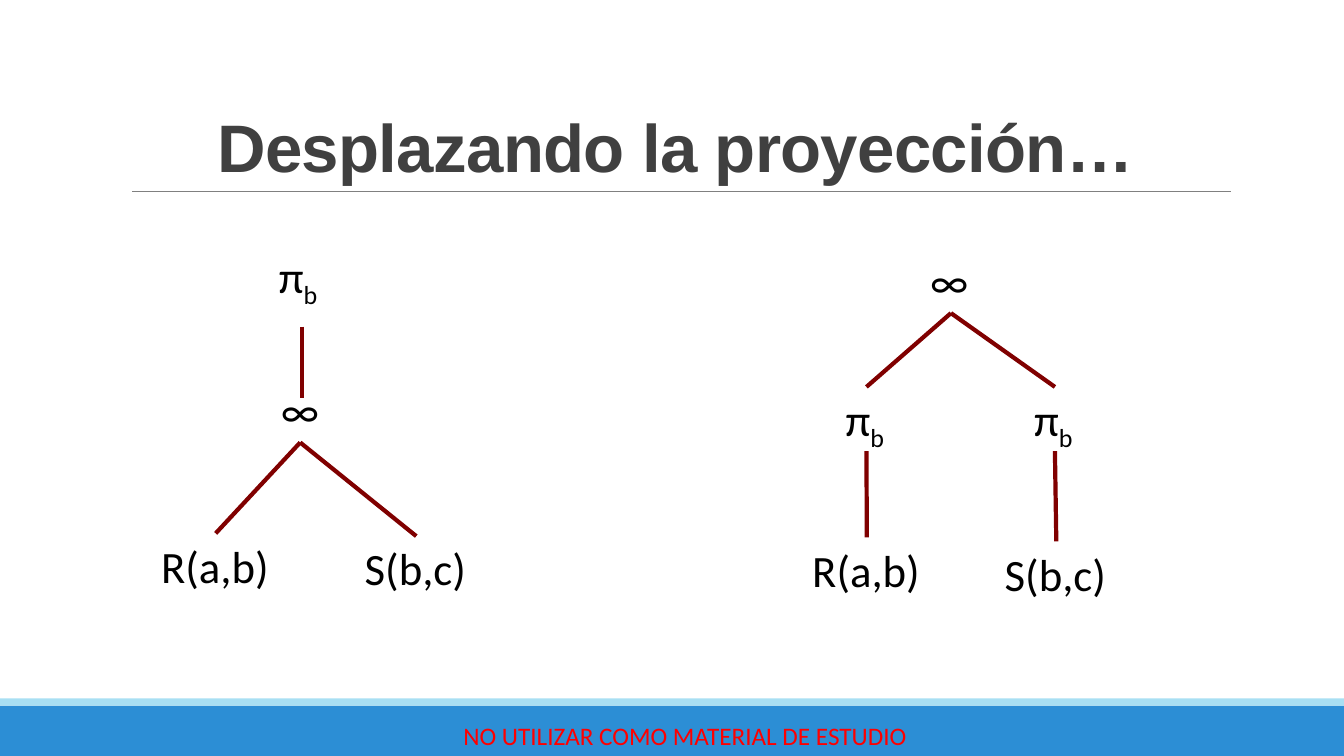
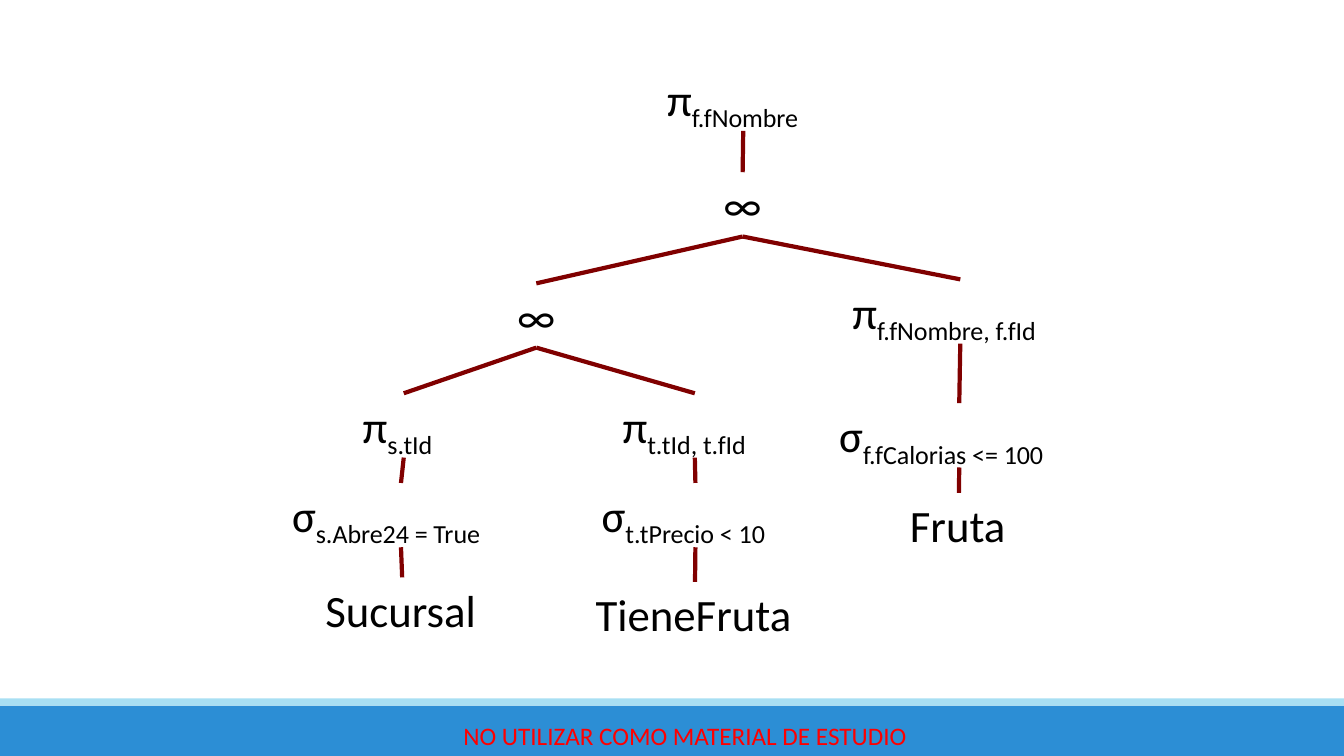
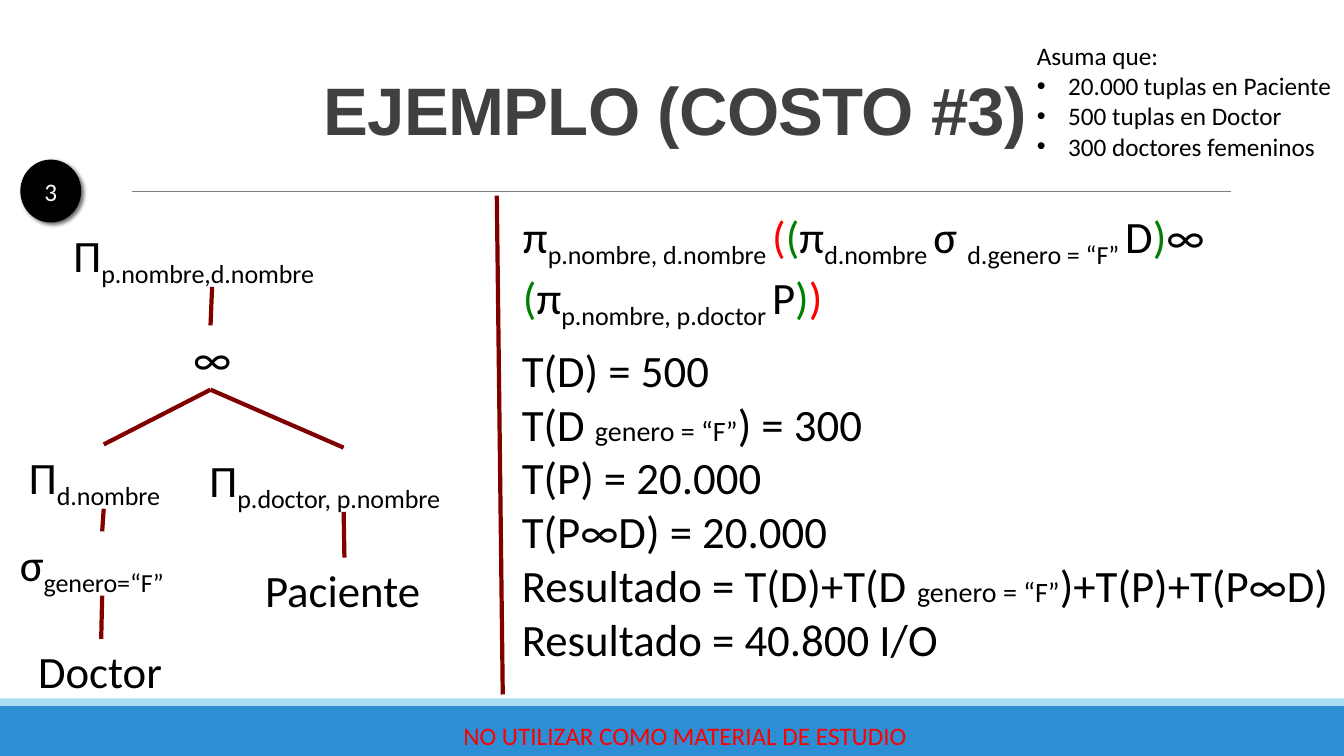
from lxml import etree
from pptx import Presentation
from pptx import util as u
from pptx.dml.color import RGBColor
from pptx.enum import shapes, text
from pptx.oxml.ns import qn

BLUE, PALE_BLUE, GRAY, TITLE_GRAY = "2C8ED5", "A8DFF3", "808080", "404040"
MAROON, RED, GREEN, BLACK, WHITE = "800000", "FF0000", "008000", "000000", "FFFFFF"
FOOTER = "NO UTILIZAR COMO MATERIAL DE ESTUDIO"
NODE_HEIGHT = 1.62
SUB = {"sub": True}
SMALL = {"size": 20}

# Tree node: symbol, subscript, left, top, width (cm), children
PROJECTION_ROOT = ("π", "b", 6.78, 6.15, 1.55, [])
JOIN_FIRST = ("∞", "", 6.83, 9.53, 1.47, [
    ("R(a,b)", "", 3.81, 13.44, 3.25, []),
    ("S(b,c)", "", 8.94, 13.51, 3.1, []),
])
PROJECT_FIRST = ("∞", "", 23.19, 6.27, 1.55, [
    ("π", "b", 21.06, 9.75, 1.55, [("R(a,b)", "", 20.22, 13.54, 3.25, [])]),
    ("π", "b", 25.81, 9.75, 1.55, [("S(b,c)", "", 25.07, 13.64, 3.1, [])]),
])
FRUIT_QUERY = ("π", "f.fNombre", 16.56, 1.68, 4.34, [
    ("∞", "", 17.98, 4.34, 1.47, [
        ("∞", "", 12.78, 7.14, 1.47, [
            ("π", "s.tId", 8.89, 9.91, 2.57, [
                ("σ", "s.Abre24 = True", 7.11, 12.17, 5.99, [
                    ("Sucursal", "", 7.95, 14.55, 4.37, [])])]),
            ("π", "t.tId, t.fId", 15.44, 9.91, 4.14, [
                ("σ", "t.tPrecio < 10", 14.91, 12.17, 5.23, [
                    ("TieneFruta", "", 14.76, 14.66, 5.51, [])])]),
        ]),
        ("π", "f.fNombre, f.fId", 21.23, 7.04, 5.94, [
            ("σ", "f.fCalorias <= 100", 20.9, 10.16, 6.55, [
                ("Fruta", "", 22.68, 12.42, 2.97, [])])]),
    ]),
])
PATIENT_QUERY = ("Π", "p.nombre,d.nombre", 1.6, 5.61, 7.49, [
    ("∞", "", 4.62, 8.2, 1.37, [
        ("Π", "d.nombre", 0.48, 11.2, 4.27, [
            ("σ", "genero=“F”", 0.25, 13.39, 4.65, [
                ("Doctor", "", 0.71, 16.1, 3.68, [])])]),
        ("Π", "p.doctor, p.nombre", 5.03, 11.28, 7.26, [
            ("Paciente", "", 6.43, 14.05, 4.5, [])]),
    ]),
])

SLIDES = [
    {"title": "Desplazando la proyección…", "title_height": 4.04,
     "trees": [PROJECTION_ROOT, JOIN_FIRST, PROJECT_FIRST],
     "lines": [(7.62, 8.23, 7.62, 10.03)]},
    {"trees": [FRUIT_QUERY]},
    {"title": "EJEMPLO (COSTO #3)", "title_height": 3.1,
     "trees": [PATIENT_QUERY],
     "lines": [(12.67, 17.5, 12.52, 4.93)]},
]

# Paragraphs are lists of (text, style) runs
EXPRESSION = [[
    ("π", {}), ("p.nombre, d.nombre ", SUB), ("(", {"color": RED}),
    ("(", {"color": GREEN}), ("π", {}), ("d.nombre ", SUB), ("σ ", {}),
    ("d.genero = “F” ", SUB), ("D", {}), (")", {"color": GREEN}), ("∞ ", {}),
    ("(", {"color": GREEN}), ("π", {}), ("p.nombre, p.doctor ", SUB), ("P", {}),
    (")", {"color": GREEN}), (")", {"color": RED}),
]]
COSTS = [
    [("T(D) = 500", {})],
    [("T(D ", {}), ("genero = “F”", SMALL), (") = 300", {})],
    [("T(P) = 20.000", {})],
    [("T(P∞D) = 20.000", {})],
    [("Resultado = T(D)+T(D ", {}), ("genero = “F”", SMALL), (")+T(P)+T(P∞D)", {})],
    [("Resultado = 40.800 I/O", {})],
]
ASSUMPTIONS = ["Asuma que:", "20.000 tuplas en Paciente",
               "500 tuplas en Doctor", "300 doctores femeninos"]


def rgb(value):
    return RGBColor.from_string(value)


def add_run(para, words, size=32, color=BLACK, font="Calibri", bold=False,
            sub=False, spacing=None):
    span = para.add_run()
    span.text = words
    span.font.name, span.font.size, span.font.bold = font, u.Pt(size), bold
    span.font.color.rgb = rgb(color)
    properties = span._r.get_or_add_rPr()
    if sub:
        properties.set("baseline", "-25000")
    if spacing:
        properties.set("spc", str(spacing))


def fill_text(shape, paragraphs, align=text.PP_ALIGN.LEFT, **defaults):
    frame = shape.text_frame
    for index, runs in enumerate(paragraphs):
        para = frame.add_paragraph() if index else frame.paragraphs[0]
        para.alignment = align
        for words, style in runs:
            add_run(para, words, **{**defaults, **style})


def add_box(slide, place, paragraphs, wrap=True, grow=True,
            anchor=text.MSO_ANCHOR.TOP, **style):
    box = slide.shapes.add_textbox(*map(u.Cm, place))
    frame = box.text_frame
    frame.word_wrap, frame.vertical_anchor = wrap, anchor
    if grow:
        frame.auto_size = text.MSO_AUTO_SIZE.SHAPE_TO_FIT_TEXT
    fill_text(box, paragraphs, **style)
    return box


def add_filled(slide, kind, place, color):
    shape = slide.shapes.add_shape(kind, *map(u.Cm, place))
    shape.shadow.inherit = False
    shape.fill.solid()
    shape.fill.fore_color.rgb = rgb(color)
    shape.line.fill.background()
    return shape


def add_line(slide, ends=(0, 0, 0, 0), color=MAROON, width=3):
    line = slide.shapes.add_connector(shapes.MSO_CONNECTOR.STRAIGHT, *map(u.Cm, ends))
    line.line.color.rgb = rgb(color)
    line.line.width = u.Pt(width)
    etree.SubElement(line._element.spPr, qn("a:effectLst"))
    return line


def add_tree(slide, node):
    """Draw a node and its subtrees, joined bottom to top; return the node's box."""
    symbol, subscript, left, top, width, children = node
    runs = [(symbol, {})] + ([(subscript, SUB)] if subscript else [])
    box = add_box(slide, (left, top, width, NODE_HEIGHT), [runs], wrap=False)
    for child in children:
        edge = add_line(slide)
        edge.begin_connect(box, 2)
        edge.end_connect(add_tree(slide, child), 0)
    return box


def add_frame(slide, title=None, title_height=0):
    """Add the bands and footer, and the title with its rule if there is one."""
    rectangle = shapes.MSO_SHAPE.RECTANGLE
    add_filled(slide, rectangle, (0, 17.78, 33.87, 1.27), BLUE)
    add_filled(slide, rectangle, (0, 17.6, 33.87, 0.18), PALE_BLUE)
    centre = text.PP_ALIGN.CENTER
    add_box(slide, (10.57, 18.03, 13.39, 1.02), [[(FOOTER, {})]], grow=False,
            anchor=text.MSO_ANCHOR.MIDDLE, align=centre, size=18, color=RED)
    if title:
        add_line(slide, (3.33, 4.83, 31.01, 4.83), GRAY, 0.5)
        box = add_box(slide, (3.05, 0.79, 27.94, title_height), [[(title, {})]],
                      grow=False, anchor=text.MSO_ANCHOR.BOTTOM, align=centre,
                      size=48, color=TITLE_GRAY, font="Arial", bold=True, spacing=-50)
        box.text_frame.paragraphs[0].line_spacing = 0.85


def add_badge(slide, number):
    badge = add_filled(slide, shapes.MSO_SHAPE.OVAL, (0.53, 4.04, 1.5, 1.55), BLACK)
    badge.line.color.rgb = rgb(BLACK)
    badge.line.width = u.Pt(1)
    badge.text_frame.vertical_anchor = text.MSO_ANCHOR.MIDDLE
    fill_text(badge, [[(number, {})]], align=text.PP_ALIGN.CENTER, size=18, color=WHITE)
    effects = badge._element.spPr.find(qn("a:effectLst"))
    shadow = etree.SubElement(effects, qn("a:outerShdw"), blurRad=str(u.Pt(3)),
                              dist=str(u.Pt(2)), dir=str(45 * 60000))
    color = etree.SubElement(shadow, qn("a:srgbClr"), val=BLACK)
    etree.SubElement(color, qn("a:alpha"), val="60000")


def add_assumptions(slide):
    box = add_box(slide, (25.88, 0.89, 8, 3.33),
                  [[(words, {})] for words in ASSUMPTIONS], size=18)
    indent = u.Cm(0.79)
    for para in box.text_frame.paragraphs[1:]:
        properties = para._p.get_or_add_pPr()
        properties.set("marL", str(indent))
        properties.set("indent", str(-indent))
        etree.SubElement(properties, qn("a:buFont"), typeface="Arial")
        etree.SubElement(properties, qn("a:buChar"), char="•")


def main():
    deck = Presentation()
    deck.slide_width, deck.slide_height = u.Cm(33.87), u.Cm(19.05)
    for content in SLIDES:
        page = deck.slides.add_slide(deck.slide_layouts[6])
        add_frame(page, content.get("title"), content.get("title_height"))
        for ends in content.get("lines", []):
            add_line(page, ends)
        for tree in content["trees"]:
            add_tree(page, tree)
    add_badge(page, "3")
    add_assumptions(page)
    add_box(page, (12.93, 5.13, 20.17, 4.37), EXPRESSION)
    add_box(page, (12.9, 8.51, 20.96, 8.46), COSTS)
    deck.save("out.pptx")


if __name__ == "__main__":
    main()
